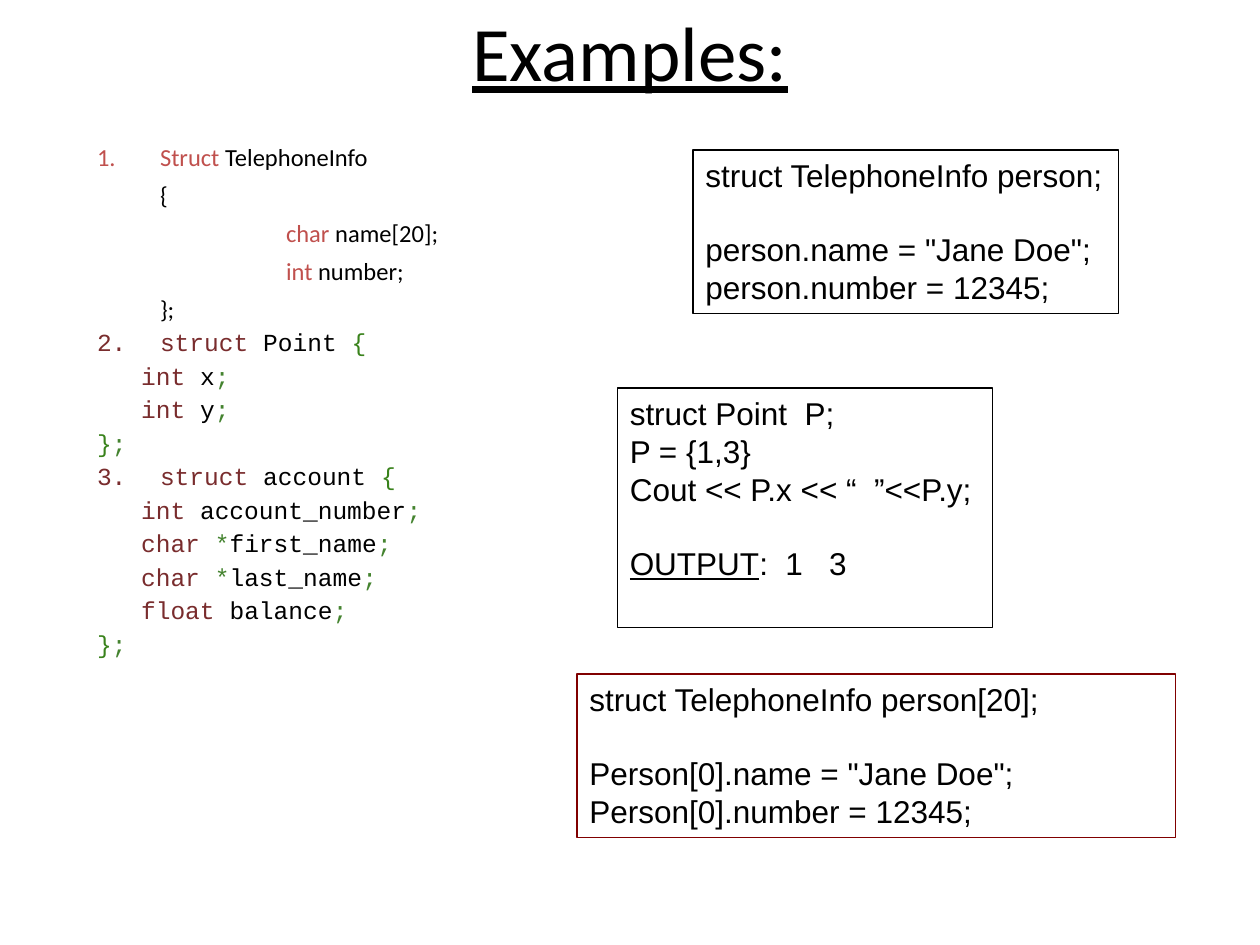
from dataclasses import dataclass
from lxml import etree
from pptx import Presentation
from pptx.dml.color import RGBColor as RGB
from pptx.enum.shapes import MSO_SHAPE as SHAPE
from pptx.enum.text import MSO_ANCHOR as ANCHOR, MSO_AUTO_SIZE as FIT, PP_ALIGN as ALIGN
from pptx.oxml.ns import qn
from pptx.util import Inches, Pt


@dataclass(frozen=True)
class Theme:
    """Colours, fonts and type sizes of the slide."""
    black: str = "000000"
    red: str = "C0504D"
    wine: str = "792C2D"
    brace: str = "39821B"
    green: str = "44832F"
    maroon: str = "800000"
    sans: str = "Calibri"
    mono: str = "Courier New"
    box_font: str = "Arial"
    title_pt: int = 44
    code_pt: int = 14
    box_pt: int = 18


T = Theme()


def add_run(p, text, font, size, color=T.black, underline=False):
    """Append one formatted run to a paragraph."""
    r = p.add_run()
    r.text = text
    r.font.name, r.font.size = font, Pt(size)
    r.font.color.rgb = RGB.from_string(color)
    r.font.underline = underline


def set_indent(p, left, hanging=0, number=None, color=T.black):
    """Set the indent of a paragraph and its number, or no bullet."""
    pPr = p._p.get_or_add_pPr()
    pPr.set("marL", str(Inches(left)))
    pPr.set("indent", str(-Inches(hanging)))
    if number is None:
        etree.SubElement(pPr, qn("a:buNone"))
        return
    clr = etree.SubElement(pPr, qn("a:buClr"))
    etree.SubElement(clr, qn("a:srgbClr"), val=color)
    etree.SubElement(pPr, qn("a:buAutoNum"), type="arabicPeriod", startAt=str(number))


prs = Presentation()
prs.slide_width, prs.slide_height = Inches(10), Inches(7.5)
s = prs.slides.add_slide(prs.slide_layouts[1])
title, body = s.placeholders

# Title
title.left, title.top, title.width, title.height = map(Inches, (0.5, -0.03, 9, 0.87))
tf = title.text_frame
tf.auto_size = FIT.NONE
tf.vertical_anchor = ANCHOR.MIDDLE
p = tf.paragraphs[0]
p.alignment = ALIGN.CENTER
add_run(p, "Examples:", T.sans, T.title_pt, underline=True)

# Struct definitions: (font, number, left indent, runs)
end = (";", T.green)
closing = (T.mono, None, 0, [("}", T.brace), end])
star = ("*", T.green)
code = [
    (T.sans, 1, 0.5, [("Struct", T.red), (" TelephoneInfo", T.black)]),
    (T.sans, None, 0.5, [("{", T.black)]),
    (T.sans, None, 1.5, [("char", T.red), (" name[20];", T.black)]),
    (T.sans, None, 1.5, [("int", T.red), (" number;", T.black)]),
    (T.sans, None, 0.5, [("};", T.black)]),
    (T.mono, 2, 0.5, [("struct", T.wine), (" Point ", T.black), ("{", T.brace)]),
    (T.mono, None, 0.35, [("int", T.wine), (" x", T.black), end]),
    (T.mono, None, 0.35, [("int", T.wine), (" y", T.black), end]),
    closing,
    (T.mono, 3, 0.5, [("struct", T.wine), (" account ", T.black), ("{", T.brace)]),
    (T.mono, None, 0.35, [("int", T.wine), (" account_number", T.black), end]),
    (T.mono, None, 0.35, [("char ", T.wine), star, ("first_name", T.black), end]),
    (T.mono, None, 0.35, [("char ", T.wine), star, ("last_name", T.black), end]),
    (T.mono, None, 0.35, [("float", T.wine), (" balance", T.black), end]),
    closing,
]
body.left, body.top, body.width, body.height = map(Inches, (0.67, 1.08, 7, 4.42))
tf = body.text_frame
tf.auto_size = FIT.NONE
for i, (font, number, left, runs) in enumerate(code):
    p = tf.add_paragraph() if i else tf.paragraphs[0]
    p.line_spacing, p.space_before = (0.8, Pt(5.7)) if font == T.mono else (1.0, Pt(4.8))
    set_indent(p, left, 0.5 if number else 0, number, runs[0][1])
    for text, color in runs:
        add_run(p, text, font, T.code_pt, color)

# Usage boxes: (position, line colour, index of the line after the gap, lines)
boxes = [
    ((4.9, 3.08, 2.98, 1.9), T.black, 3,
     ["struct Point  P;", "P = {1,3}", "Cout << P.x << “  ”<<P.y;", "OUTPUT:  1   3"]),
    ((5.5, 1.19, 3.38, 1.3), T.black, 1,
     ["struct TelephoneInfo person;", 'person.name = "Jane Doe";',
      "person.number = 12345;"]),
    ((4.58, 5.35, 4.75, 1.3), T.maroon, 1,
     ["struct TelephoneInfo person[20];", 'Person[0].name = "Jane Doe";',
      "Person[0].number = 12345;"]),
]
for at, color, gap_index, lines in boxes:
    sp = s.shapes.add_shape(SHAPE.RECTANGLE, *map(Inches, at))
    sp.shadow.inherit = False
    sp.fill.background()
    sp.line.color.rgb = RGB.from_string(color)
    sp.line.width = Pt(0.74)
    tf = sp.text_frame
    tf.word_wrap = True
    tf.vertical_anchor = ANCHOR.TOP
    for i, line in enumerate(lines):
        p = tf.add_paragraph() if i else tf.paragraphs[0]
        p.alignment = ALIGN.LEFT
        if i == gap_index:
            p.space_before = Pt(T.box_pt * 1.15)
        label, colon, rest = line.partition(":")
        add_run(p, label, T.box_font, T.box_pt, underline=bool(colon))
        if colon:
            add_run(p, colon + rest, T.box_font, T.box_pt)

prs.save("out.pptx")
